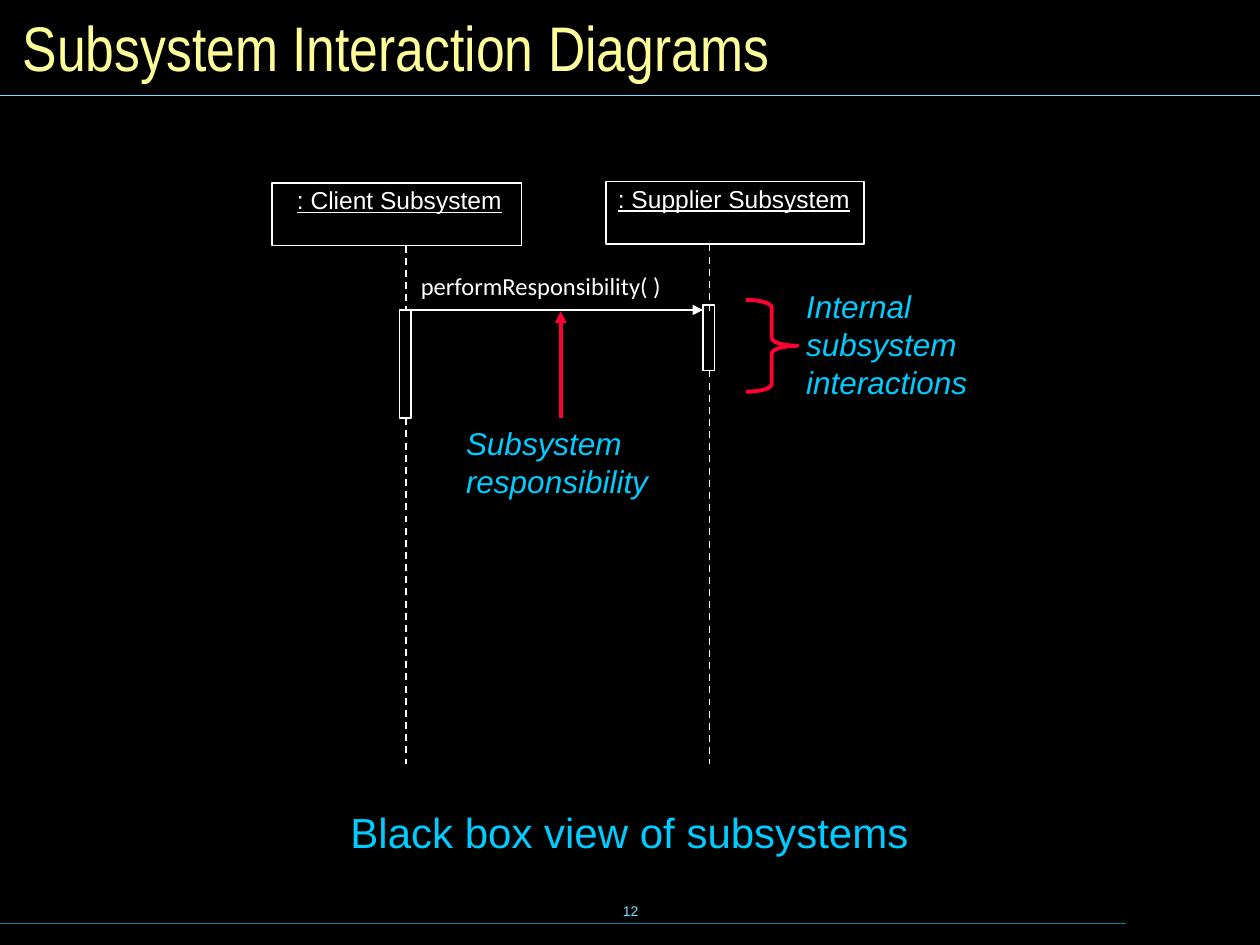
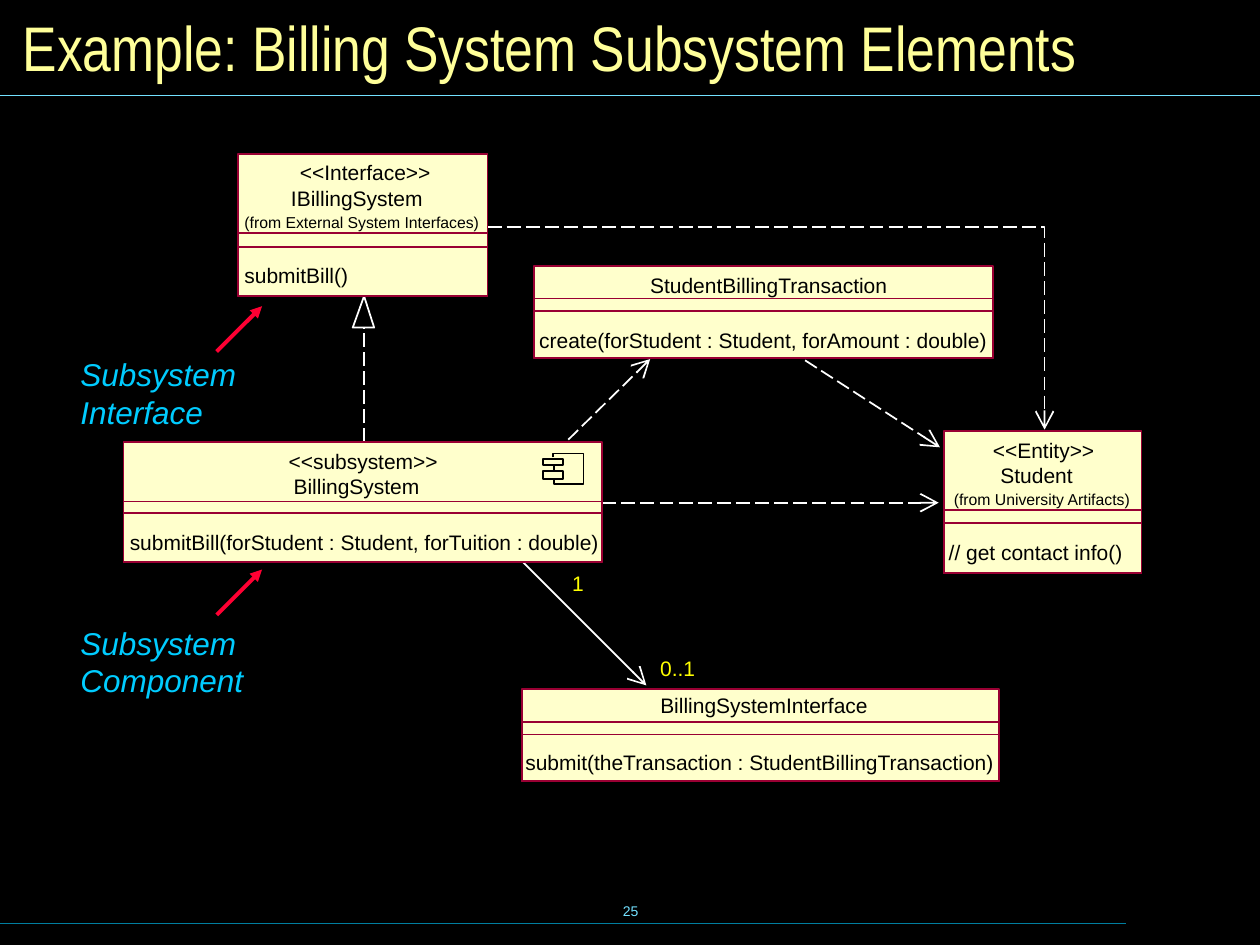
from pptx import Presentation
from pptx.dml.color import RGBColor
from pptx.enum.dml import MSO_LINE
from pptx.enum.shapes import MSO_CONNECTOR, MSO_SHAPE
from pptx.enum.text import MSO_ANCHOR, MSO_AUTO_SIZE, PP_ALIGN
from pptx.oxml.ns import qn
from pptx.util import Inches, Pt
from lxml.etree import SubElement

HUES = {
    "back": "000000", "ink": "FFFFFF", "title": "FFFF99", "note": "00CCFF",
    "mark": "FF0033", "rule": "73E1FF", "foot": "007E9F", "card": "FFFFCC",
    "edge": "990033", "count": "FFFF00",
}
DASH, LONG = MSO_LINE.DASH, MSO_LINE.LONG_DASH
NOTE = {"size": 18, "hue": "note", "italic": True, "pad": (0.1, 0.05)}
HEAD = {"size": 14, "underline": True, "align": PP_ALIGN.CENTER}
MARK = {"hue": "mark", "width": 2.25}
TAILS = {
    "triangle": {"type": "triangle"},
    "arrow": {"type": "arrow", "w": "lg", "len": "lg"},
}


def tint(name):
    return RGBColor.from_string(HUES[name])


def inch(*nums):
    return [Inches(num) for num in nums]


def style(text, size, hue, name="Arial", align=PP_ALIGN.LEFT, **extra):
    para = text.paragraphs[0]
    para.alignment = align
    look = {"size": Pt(size), "name": name, **extra}
    for key, value in look.items():
        setattr(para.font, key, value)
    para.font.color.rgb = tint(hue)


def write(art, box, words, size=12, hue="ink", pad=(0, 0),
          anchor=MSO_ANCHOR.TOP, **extra):
    text = art.add_textbox(*inch(*box)).text_frame
    side, top = inch(*pad)
    frame = {
        "margin_left": side, "margin_right": side, "margin_top": top,
        "margin_bottom": top, "word_wrap": True, "vertical_anchor": anchor,
        "auto_size": MSO_AUTO_SIZE.NONE,
    }
    for key, value in frame.items():
        setattr(text, key, value)
    text.text = words
    style(text, size, hue, **extra)


def stroke(shape, hue="ink", width=1, dash=None, tail=None):
    shape.line.color.rgb = tint(hue)
    shape.line.width = Pt(width)
    if dash:
        shape.line.dash_style = dash
    if tail:
        SubElement(shape.element.spPr.find(qn("a:ln")), qn("a:tailEnd"), **TAILS[tail])


def link(art, start, end, **pen):
    line = art.add_connector(MSO_CONNECTOR.STRAIGHT, *inch(*start, *end))
    SubElement(line.element.spPr, qn("a:effectLst"))
    stroke(line, **pen)


def block(art, box, fill=None, kind=MSO_SHAPE.RECTANGLE, **pen):
    shape = art.add_shape(kind, *inch(*box))
    shape.shadow.inherit = False
    if fill:
        shape.fill.solid()
        shape.fill.fore_color.rgb = tint(fill)
    else:
        shape.fill.background()
    stroke(shape, **pen)
    return shape


def trace(art, spots, close=False, **pen):
    first, *rest = [inch(*spot) for spot in spots]
    path = art.build_freeform(*first)
    path.add_line_segments(rest, close=close)
    shape = path.convert_to_shape()
    shape.shadow.inherit = False
    shape.fill.background()
    stroke(shape, **pen)


def start(deck, title, number):
    """Add a slide with the shared background, title, rules and number."""
    slide = deck.slides.add_slide(deck.slide_layouts[5])
    slide.background.fill.solid()
    slide.background.fill.fore_color.rgb = tint("back")
    art, head = slide.shapes, slide.shapes.title
    place = dict(zip(("left", "top", "width", "height"), inch(0.08, 0.08, 9.84, 0.58)))
    for key, value in place.items():
        setattr(head, key, value)
    head.text_frame.text = title
    head.text_frame.vertical_anchor = MSO_ANCHOR.MIDDLE
    head.text_frame.auto_size = MSO_AUTO_SIZE.NONE
    style(head.text_frame, 36, "title", "Arial Narrow")
    link(art, (0, 0.76), (10, 0.76), hue="rule", width=0.75)
    link(art, (0, 7.33), (8.94, 7.33), hue="foot", width=0.75)
    write(art, (3.42, 6.98, 3.17, 0.5), number, 8, "rule", (0.1, 0.05),
          MSO_ANCHOR.MIDDLE, align=PP_ALIGN.CENTER)
    return art


def life(art, box, name, shift, axis, bar, end):
    """Draw a lifeline; shift moves the name, axis and bar (top, height) count from the head."""
    x, y, w, h = box
    mid, top, tall = x + axis, y + bar[0], bar[1]
    block(art, box)
    write(art, (x + shift, y + 0.02, w, 0.23), name, **HEAD)
    link(art, (mid, y + h), (mid, 2.47), dash=DASH)
    block(art, (mid - 0.05, top, 0.09, tall))
    link(art, (mid, top + tall), (mid, end), dash=DASH)


def flow(art, x, y):
    """Draw the sequence diagram from its top left corner."""
    end = y + 4.62
    life(art, (x, y + 0.01, 1.98, 0.5), ": Client Subsystem", 0.02, 1.06, (1.01, 0.86), end)
    life(art, (x + 2.65, y, 2.05, 0.5), ": Supplier Subsystem", -0.01, 0.82, (0.98, 0.52), end)
    write(art, (x + 1.18, y + 0.71, 2.3, 0.23), "performResponsibility( )", 14, name="Calibri")
    link(art, (x + 1.09, y + 1.02), (x + 3.42, y + 1.02), tail="triangle")
    link(art, (x + 2.29, y + 1.88), (x + 2.29, y + 1.03), tail="triangle", **MARK)
    brace = block(art, (x + 3.76, y + 0.94, 0.41, 0.73), kind=MSO_SHAPE.RIGHT_BRACE, **MARK)
    brace.adjustments[0] = 0.15
    write(art, (x + 4.14, y + 0.79, 1.5, 1), "Internal subsystem interactions", **NOTE)
    write(art, (x + 1.44, y + 1.88, 1.69, 0.7), "Subsystem responsibility", **NOTE)


def card(art, box, cuts, rows):
    """Draw a class; cuts are its dividers, rows hold text, x and y."""
    x, y, w, h = box
    for cut in (0, *cuts):
        block(art, (x, y + cut, w, h - cut), "card", hue="edge")
    for words, dx, dy in rows:
        size = 9 if words.startswith("(") else 12
        write(art, (x + dx, y + dy, w - dx, size / 60), words, size, "back")


def icon(art, x, y):
    """Draw the component symbol as one group."""
    part = art.add_group_shape().shapes
    for top, tall in ((0.14, 0.06), (0.04, 0.05)):
        block(part, (x, y + top, 0.16, tall), hue="back")
    spots = (0.08, 0.03), (0.08, 0), (0.32, 0), (0.32, 0.24), (0.09, 0.24), (0.09, 0.21)
    trace(part, [(x + dx, y + dy) for dx, dy in spots], hue="back")
    link(part, (x + 0.09, y + 0.1), (x + 0.09, y + 0.13), hue="back")


CARDS = (
    ((4.24, 2.11, 3.64, 0.73), (0.26, 0.36), (
        ("StudentBillingTransaction", 0.92, 0.05),
        ("create(forStudent : Student, forAmount : double)", 0.04, 0.49))),
    ((7.49, 3.42, 1.57, 1.13), (0.63, 0.73), (
        ("<<Entity>>", 0.39, 0.05),
        ("Student", 0.45, 0.25),
        ("(from University Artifacts)", 0.08, 0.47),
        ("// get contact info()", 0.04, 0.86))),
    ((0.98, 3.51, 3.8, 0.95), (0.47, 0.56), (
        ("<<subsystem>>", 1.31, 0.05),
        ("BillingSystem", 1.35, 0.25),
        ("submitBill(forStudent : Student, forTuition : double)", 0.05, 0.69))),
    ((4.14, 5.47, 3.79, 0.73), (0.26, 0.36), (
        ("BillingSystemInterface", 1.1, 0.03),
        ("submit(theTransaction : StudentBillingTransaction)", 0.03, 0.48))),
    ((1.89, 1.22, 1.98, 1.13), (0.63, 0.74), (
        ("<<Interface>>", 0.49, 0.05),
        ("IBillingSystem", 0.42, 0.25),
        ("(from External System Interfaces)", 0.05, 0.47),
        ("submitBill()", 0.05, 0.86))),
)
USES = (
    ((6.39, 2.86), (7.46, 3.55)),
    ((4.51, 3.49), (5.16, 2.85)),
    ((4.78, 3.99), (7.45, 3.99)),
)


def links(art):
    for begin, end in USES:
        link(art, begin, end, dash=LONG, tail="arrow")
    trace(art, ((3.87, 1.8), (8.29, 1.8), (8.29, 3.41)), dash=LONG, tail="arrow")
    link(art, (2.89, 3.51), (2.89, 2.6), dash=LONG)
    trace(art, ((2.89, 2.35), (2.97, 2.6), (2.8, 2.6)), close=True)
    link(art, (4.14, 4.45), (5.13, 5.44), tail="arrow")
    write(art, (4.54, 4.53, 0.2, 0.2), "1", hue="count")
    write(art, (5.24, 5.2, 0.4, 0.2), "0..1", hue="count")


def hint(art, box, words, foot):
    """Write a note with an arrow that rises to the right from foot."""
    x, y = foot
    write(art, box, words, **NOTE)
    link(art, foot, (x + 0.36, y - 0.36), tail="triangle", **MARK)


def main():
    deck = Presentation()
    deck.slide_width, deck.slide_height = inch(10, 7.5)

    art = start(deck, "Subsystem Interaction Diagrams", "12")
    flow(art, 2.16, 1.44)
    write(art, (2.37, 6.34, 5.25, 0.52), "Black box view of subsystems", 24, "note",
          (0.12, 0.06), align=PP_ALIGN.CENTER)

    art = start(deck, "Example: Billing System Subsystem Elements", "25")
    links(art)
    for box, cuts, rows in CARDS:
        card(art, box, cuts, rows)
    icon(art, 4.31, 3.6)
    hint(art, (0.54, 2.77, 2.31, 0.7), "Subsystem Interface", (1.72, 2.79))
    hint(art, (0.54, 4.9, 2, 0.7), "Subsystem Component", (1.72, 4.88))
    deck.save("out.pptx")


if __name__ == "__main__":
    main()
